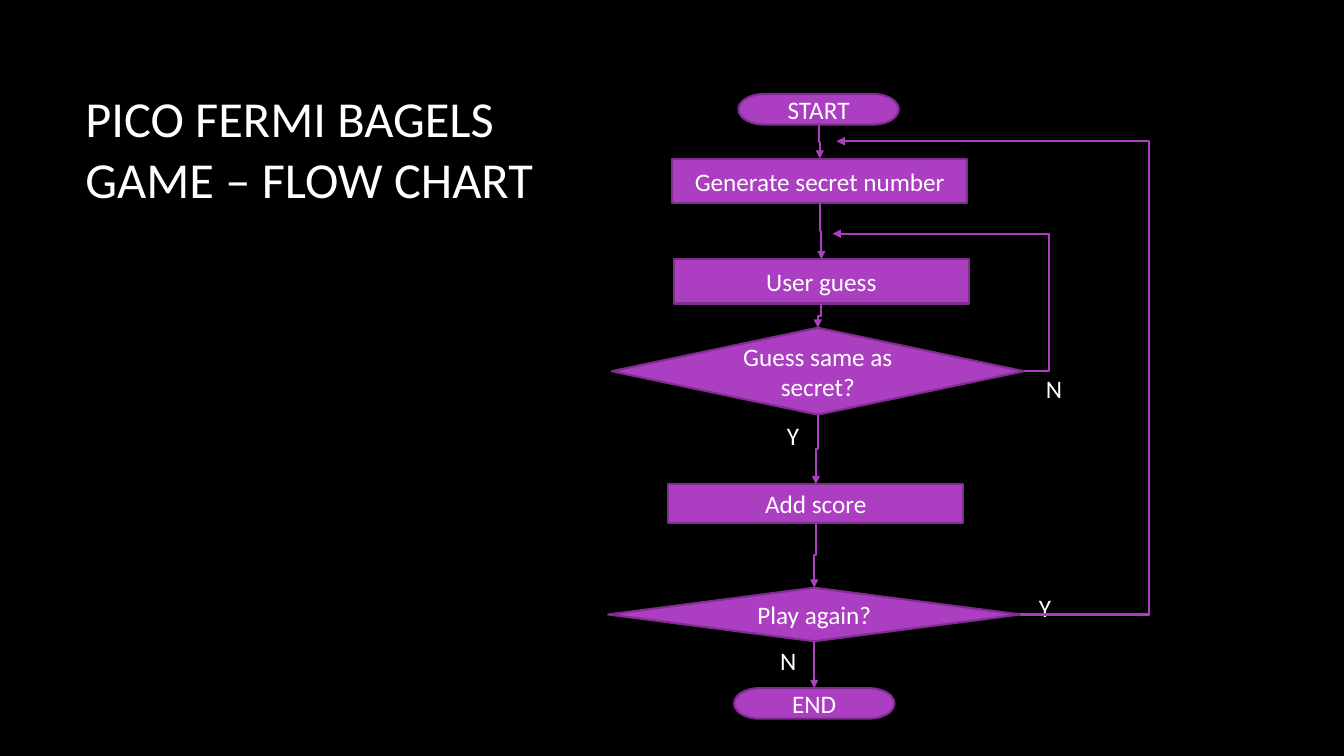
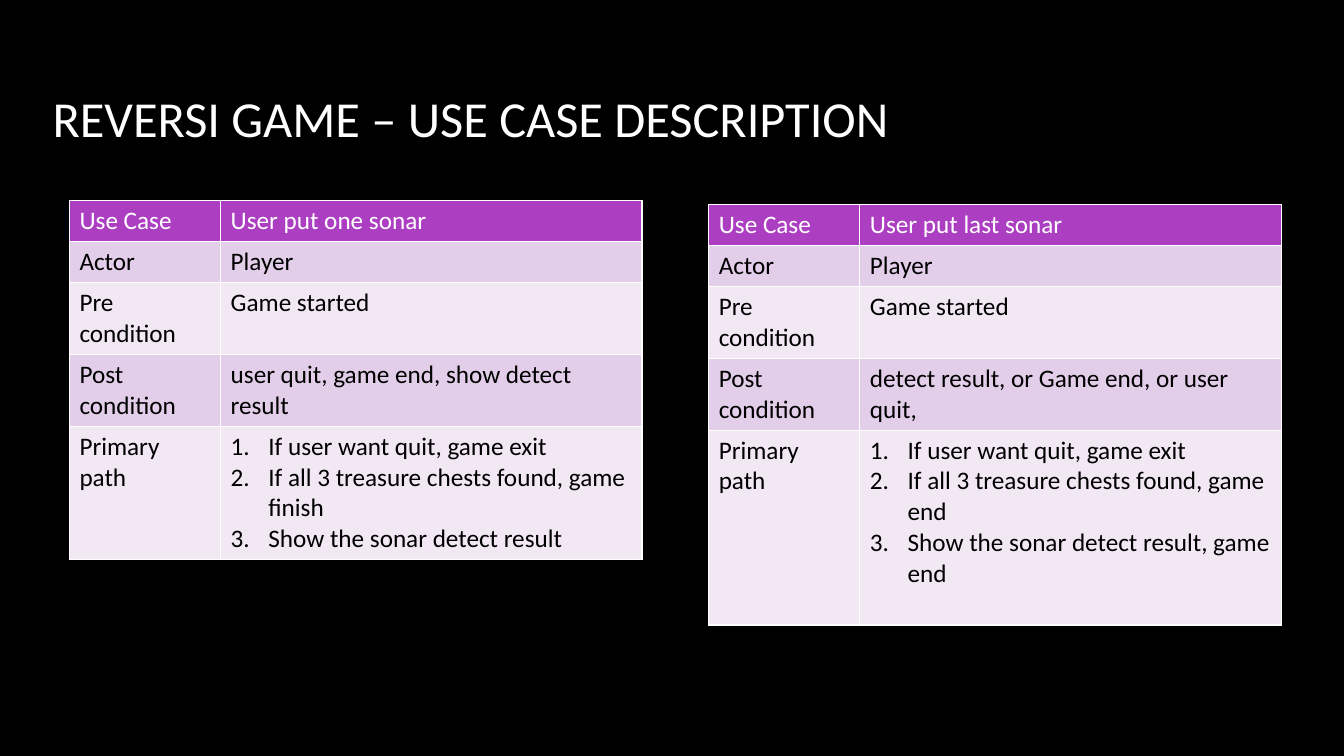
"""Build a flow chart slide and a use case slide for simple games."""
import dataclasses

import lxml.etree
import pptx
import pptx.dml.color
import pptx.enum.shapes
import pptx.enum.text
import pptx.oxml.ns
import pptx.util

Cm = pptx.util.Cm
Pt = pptx.util.Pt
SHAPE = pptx.enum.shapes.MSO_SHAPE
LINK = pptx.enum.shapes.MSO_CONNECTOR
ALIGN = pptx.enum.text.PP_ALIGN
MIDDLE = pptx.enum.text.MSO_ANCHOR.MIDDLE
qn = pptx.oxml.ns.qn


@dataclasses.dataclass(frozen=True)
class Theme:
    """Hold the colours and type sizes of the deck."""
    font: str = "Calibri"
    head: int = 36
    body: int = 18
    back: str = "000000"
    light: str = "FFFFFF"
    dark: str = "000000"
    main: str = "AC3EC1"
    edge: str = "7F2E8F"
    bands: tuple = ("E3CEE9", "F1E8F4")
    line: float = 1.5
    rule: float = 1


THEME = Theme()


def rgb(code):
    """Turn a hex code into a colour."""
    return pptx.dml.color.RGBColor.from_string(code)


def paint(fill, code):
    """Give a fill one solid colour."""
    fill.solid()
    fill.fore_color.rgb = rgb(code)


def add(node, tag, **attrs):
    """Append a child element with the given attributes."""
    return lxml.etree.SubElement(node, qn(tag), attrs)


def write(frame, text, size=THEME.body, color=THEME.light, align=ALIGN.LEFT, count=False):
    """Write one paragraph for each line of text, numbered on request."""
    for index, line in enumerate(text.split("\n")):
        para = frame.paragraphs[0] if index == 0 else frame.add_paragraph()
        para.text = line
        para.alignment = align
        if count:
            props = para._p.get_or_add_pPr()
            props.set("marL", str(Cm(0.95)))
            props.set("indent", str(-Cm(0.95)))
            add(props, "a:buAutoNum", type="arabicPeriod")
        font = para.runs[0].font
        font.name, font.size, font.bold = THEME.font, Pt(size), False
        font.color.rgb = rgb(color)


def start(deck, text, left, top, width):
    """Add a slide with its title in place."""
    slide = deck.slides.add_slide(deck.slide_layouts[5])
    title = slide.shapes.title
    title.left, title.top, title.width, title.height = Cm(left), Cm(top), Cm(width), Cm(4.04)
    frame = title.text_frame
    frame.auto_size = pptx.enum.text.MSO_AUTO_SIZE.NONE
    frame.vertical_anchor = MIDDLE
    write(frame, text, size=THEME.head)
    return slide


def step(slide, kind, text, mid, top, width, height):
    """Draw a flow chart step centred on mid."""
    shape = slide.shapes.add_shape(kind, Cm(mid - width / 2), Cm(top), Cm(width), Cm(height))
    shape.shadow.inherit = False
    paint(shape.fill, THEME.main)
    shape.line.color.rgb = rgb(THEME.edge)
    shape.line.width = Pt(THEME.line)
    shape.text_frame.word_wrap = True
    shape.text_frame.vertical_anchor = MIDDLE
    write(shape.text_frame, text, align=ALIGN.CENTER)
    return shape


def label(slide, text, left, top):
    """Put a branch label beside an arrow."""
    box = slide.shapes.add_textbox(Cm(left), Cm(top), Cm(0.9), Cm(1.03))
    box.text_frame.word_wrap = False
    write(box.text_frame, text)


def arrow(slide, kind, *ends):
    """Draw a connector with an arrowhead at its end."""
    conn = slide.shapes.add_connector(kind, *ends)
    conn.line.color.rgb = rgb(THEME.main)
    conn.line.width = Pt(THEME.line)
    props = conn.element.spPr
    add(props.find(qn("a:ln")), "a:tailEnd", type="triangle")
    add(props, "a:effectLst")
    return conn


def drop(slide, upper, lower):
    """Join the foot of one step to the top of the next."""
    left, right = (item.left + item.width // 2 for item in (upper, lower))
    top, foot = upper.top + upper.height, lower.top
    shift, length = right - left, foot - top
    kind = LINK.ELBOW if shift else LINK.STRAIGHT
    conn = arrow(slide, kind, left, top, right, foot)
    conn.begin_connect(upper, 2)
    conn.end_connect(lower, 0)
    if shift:
        conn.left = (left + right - length) // 2
        conn.top = (top + foot - abs(shift)) // 2
        conn.width, conn.height = length, abs(shift)
        frame = conn.element.spPr.find(qn("a:xfrm"))
        for name in ("flipH", "flipV"):
            frame.attrib.pop(name, None)
        frame.set("rot", str((270 if shift > 0 else 90) * 60000))
        if shift > 0:
            frame.set("flipH", "1")


def loop(slide, source, side, left, top):
    """Lead from the right of a step out to side and back to a point."""
    begin = source.left + source.width
    conn = arrow(slide, LINK.ELBOW, begin, source.top + source.height // 2, Cm(left), Cm(top))
    ratio = (begin - Cm(side)) / (begin - Cm(left))
    guides = conn.element.spPr.find(qn("a:prstGeom")).find(qn("a:avLst"))
    add(guides, "a:gd", name="adj1", fmla=f"val {round(ratio * 100000)}")


def frame_cell(cell):
    """Draw thin light rules on all sides of a cell."""
    props = cell._tc.get_or_add_tcPr()
    for side in "LRTB":
        line = add(props, f"a:ln{side}", w=str(Pt(THEME.rule)))
        add(add(line, "a:solidFill"), "a:srgbClr", val=THEME.light)


def grid(slide, left, top, rows, last):
    """Add a use case table whose last row has the given height."""
    widths, heights = (3.81, 10.62), (1.03, 1.03, 1.81, 1.81, last)
    table = slide.shapes.add_table(len(rows), len(widths), Cm(left), Cm(top),
                                   Cm(sum(widths)), Cm(sum(heights))).table
    for column, width in zip(table.columns, widths):
        column.width = Cm(width)
    for y, (row, height) in enumerate(zip(rows, heights)):
        table.rows[y].height = Cm(height)
        for x, text in enumerate(row):
            cell = table.cell(y, x)
            frame_cell(cell)
            paint(cell.fill, THEME.bands[(y - 1) % 2] if y else THEME.main)
            write(cell.text_frame, text, color=THEME.dark if y else THEME.light,
                  count="\n" in text)


def case(name, post, path):
    """List the rows of one use case."""
    return [("Use Case", name), ("Actor", "Player"), ("Pre condition", "Game started"),
            ("Post condition", post), ("Primary path", path)]


def flow(deck):
    """Build the flow chart slide."""
    slide = start(deck, "PICO FERMI BAGELS GAME – FLOW CHART", 1.9, 1.7, 12.83)
    cap, box, test = (SHAPE.FLOWCHART_TERMINATOR, SHAPE.FLOWCHART_PROCESS,
                      SHAPE.FLOWCHART_DECISION)
    wide = {cap: 4.04, box: 7.44, test: 10.39}
    steps = [step(slide, kind, text, mid, top, wide[kind], height)
             for kind, text, mid, top, height in (
                 (cap, "START", 20.63, 2.37, 0.77),
                 (box, "Generate secret number", 20.66, 4, 1.12),
                 (box, "User guess", 20.7, 6.53, 1.12),
                 (test, "Guess same as secret?", 20.61, 8.26, 2.19),
                 (box, "Add score", 20.56, 12.2, 0.97),
                 (test, "Play again?", 20.52, 14.81, 1.35),
                 (cap, "END", 20.52, 17.34, 0.77))]
    for text, left, top in (("N", 26.11, 9.27), ("Y", 19.58, 10.46),
                            ("Y", 25.93, 14.81), ("N", 19.41, 16.13)):
        label(slide, text, left, top)
    for upper, lower in zip(steps, steps[1:]):
        drop(slide, upper, lower)
    loop(slide, steps[3], 26.44, 20.98, 5.89)
    loop(slide, steps[5], 28.96, 21.08, 3.56)


def cases(deck):
    """Build the use case slide."""
    slide = start(deck, "REVERSI GAME – USE CASE DESCRIPTION", 1.07, 0.94, 25.55)
    first = case("User put one sonar", "user quit, game end, show detect result",
                 "If user want quit, game exit\n"
                 "If all 3 treasure chests found, game finish\n"
                 "Show the sonar detect result")
    final = case("User put last sonar", "detect result, or Game end, or user quit,",
                 "If user want quit, game exit\n"
                 "If all 3 treasure chests found, game end\n"
                 "Show the sonar detect result, game end")
    grid(slide, 1.75, 5.06, first, 3.36)
    grid(slide, 17.86, 5.16, final, 4.91)


def main():
    """Build the deck and save it."""
    deck = pptx.Presentation()
    deck.slide_width, deck.slide_height = Cm(33.87), Cm(19.05)
    paint(deck.slide_master.background.fill, THEME.back)
    flow(deck)
    cases(deck)
    deck.save("out.pptx")


if __name__ == "__main__":
    main()
